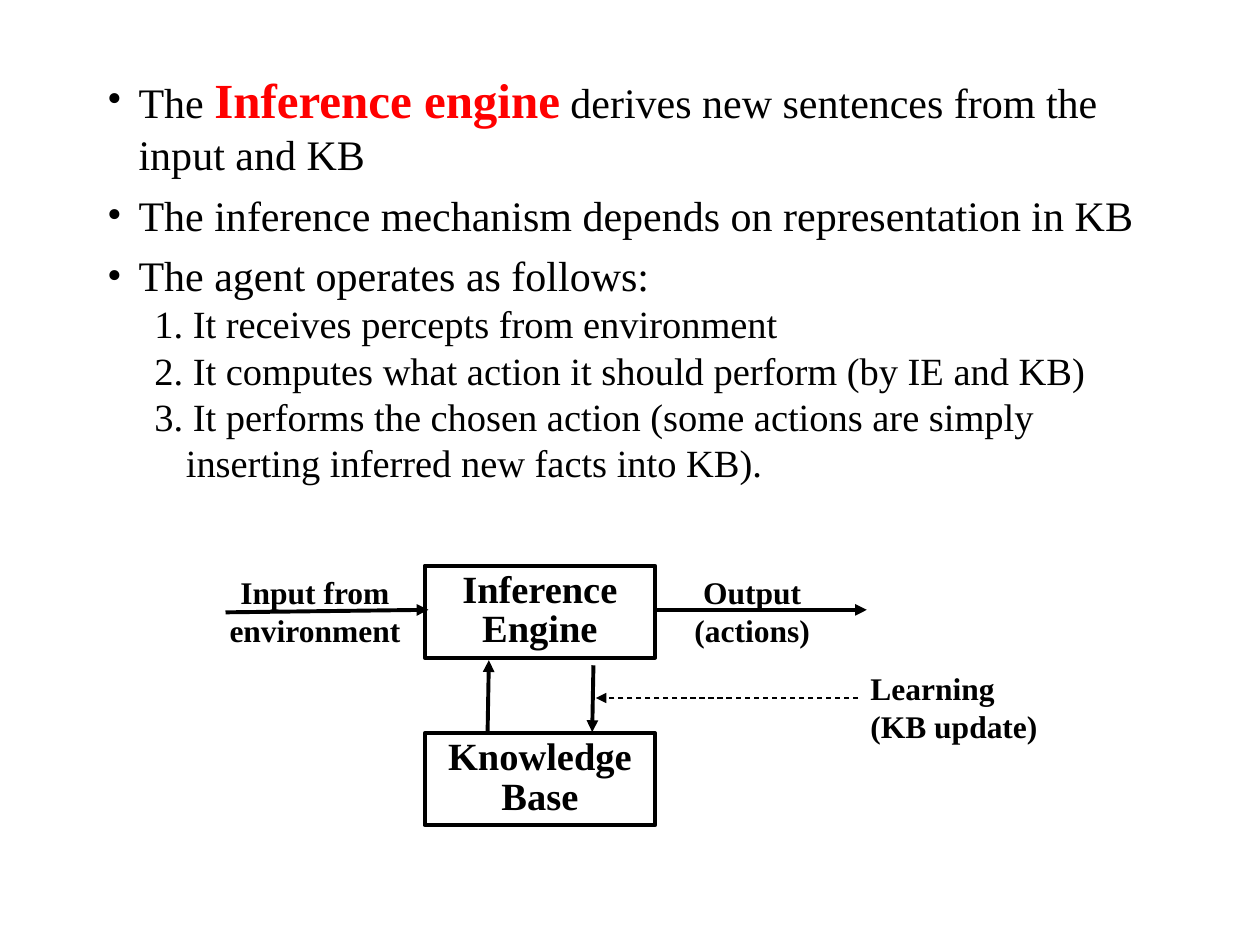
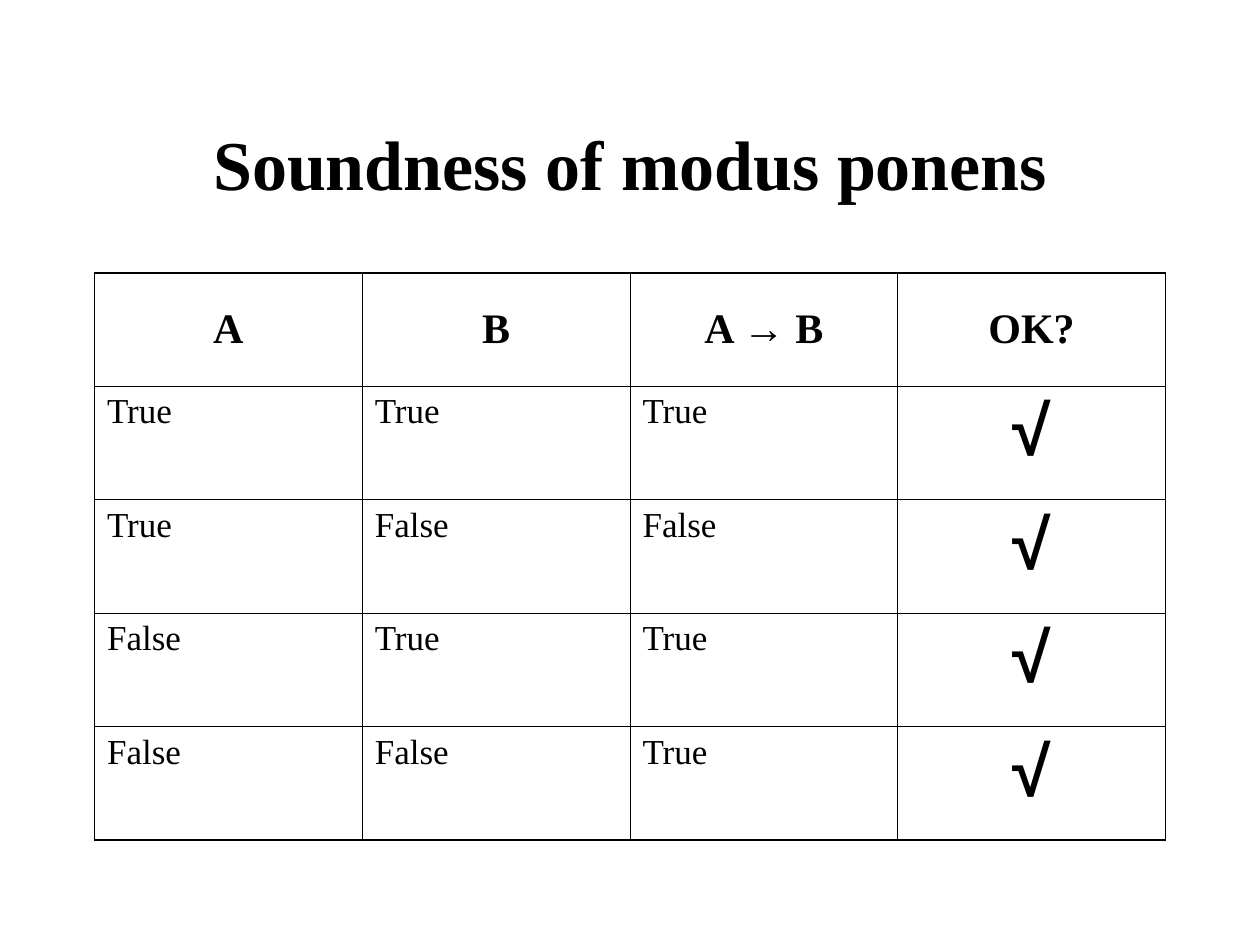
from dataclasses import dataclass

from lxml.etree import SubElement
from pptx import Presentation
from pptx.dml.color import RGBColor
from pptx.enum.dml import MSO_LINE_DASH_STYLE as Dash
from pptx.enum.shapes import MSO_CONNECTOR as Connector
from pptx.enum.shapes import MSO_SHAPE as ShapeKind
from pptx.enum.text import MSO_ANCHOR as Anchor
from pptx.enum.text import MSO_AUTO_SIZE as AutoSize
from pptx.enum.text import PP_ALIGN as Align
from pptx.oxml.ns import qn
from pptx.presentation import Presentation as Deck
from pptx.slide import Slide
from pptx.table import _Cell as Cell
from pptx.text.text import TextFrame
from pptx.text.text import _Paragraph as Paragraph
from pptx.util import Length, Pt


@dataclass(frozen=True)
class Theme:
    ink: RGBColor = RGBColor(0, 0, 0)
    accent: RGBColor = RGBColor(0xFF, 0, 0)
    font: str = "Times New Roman"
    symbol_font: str = "Arial"
    title: Length = Pt(40)
    keyword: Length = Pt(28)
    body: Length = Pt(24)
    step: Length = Pt(22)
    cell: Length = Pt(20)
    label: Length = Pt(18)
    heavy: Length = Pt(2.24)
    light: Length = Pt(0.74)
    frame: Length = Pt(1.08)
    grid: Length = Pt(0.45)


THEME = Theme()


@dataclass(frozen=True)
class TextStyle:
    size: Length
    bold: bool = False
    color: RGBColor = THEME.ink
    font: str = THEME.font


@dataclass(frozen=True)
class Area:
    left: float
    top: float
    width: float
    height: float

    def lengths(self) -> tuple[Length, ...]:
        return Pt(self.left), Pt(self.top), Pt(self.width), Pt(self.height)


@dataclass(frozen=True)
class Label:
    text: str
    area: Area
    align: Align = Align.CENTER


@dataclass(frozen=True)
class Arrow:
    start: tuple[float, float]
    end: tuple[float, float]
    width: Length = THEME.heavy
    dashed: bool = False


TITLE = TextStyle(THEME.title, bold=True)
BODY = TextStyle(THEME.body)
KEYWORD = TextStyle(THEME.keyword, bold=True, color=THEME.accent)
STEP = TextStyle(THEME.step)
BOX = TextStyle(THEME.step, bold=True)
LABEL = TextStyle(THEME.label, bold=True)
HEADER = TextStyle(THEME.body, bold=True)
VALUE = TextStyle(THEME.cell)
CHECK = TextStyle(THEME.title, bold=True, font=THEME.symbol_font)

BULLETS = [
    [
        ("The ", BODY),
        ("Inference engine", KEYWORD),
        (" derives new sentences from the input and KB", BODY),
    ],
    [("The inference mechanism depends on representation in KB", BODY)],
    [("The agent operates as follows:", BODY)],
]
STEPS = [
    "1. It receives percepts from environment",
    "2. It computes what action it should perform (by IE and KB)",
    "3. It performs the chosen action (some actions are simply "
    "inserting inferred new facts into KB).",
]
BOXES = [
    Label("Knowledge\nBase", Area(242.64, 419.04, 131.76, 52.56)),
    Label("Inference\nEngine", Area(242.64, 323.28, 131.76, 52.56)),
]
LABELS = [
    Label("Input from\nenvironment", Area(123.12, 324, 113.76, 50.4)),
    Label("Output\n(actions)", Area(386.64, 324, 86.4, 50.4)),
    Label("Learning\n(KB update)", Area(490.32, 378.72, 113.76, 50.4), Align.LEFT),
]
ARROWS = [
    Arrow((128.88, 349.92), (244.8, 348.48)),
    Arrow((374.4, 348.48), (495.36, 348.48)),
    Arrow((278.64, 418.32), (279.36, 377.28)),
    Arrow((339.12, 380.16), (338.4, 418.32)),
    Arrow((490.32, 398.88), (340.56, 398.88), THEME.light, dashed=True),
]
TRUTH_TABLE = [
    ("A", "B", "A → B", "OK?"),
    ("True", "True", "True", "√"),
    ("True", "False", "False", "√"),
    ("False", "True", "True", "√"),
    ("False", "False", "True", "√"),
]
BODY_AREA = Area(54, 36, 612, 444)
TITLE_AREA = Area(54, 48, 612, 90)
TABLE_AREA = Area(54, 156, 612, 324)


def style_runs(paragraph: Paragraph, *styles: TextStyle) -> None:
    for run, style in zip(paragraph.runs, styles):
        run.font.name = style.font
        run.font.size = style.size
        run.font.bold = style.bold
        run.font.color.rgb = style.color


def set_indent(paragraph: Paragraph, margin: float, bullet: str = "") -> None:
    properties = paragraph._p.get_or_add_pPr()
    properties.set("marL", str(Pt(margin)))
    properties.set("indent", str(Pt(-18)))
    if bullet:
        color = SubElement(properties, qn("a:buClr"))
        SubElement(color, qn("a:srgbClr"), val=str(THEME.ink))
        SubElement(properties, qn("a:buFont"), typeface=THEME.font)
        SubElement(properties, qn("a:buChar"), char=bullet)
    else:
        SubElement(properties, qn("a:buNone"))


def write_lines(
    frame: TextFrame, label: Label, style: TextStyle, spacing: float = 1.0
) -> None:
    frame.text = label.text
    frame.word_wrap = True
    frame.vertical_anchor = Anchor.TOP
    for paragraph in frame.paragraphs:
        paragraph.alignment = label.align
        paragraph.line_spacing = spacing
        style_runs(paragraph, style)


def draw_box(slide: Slide, label: Label) -> None:
    shape = slide.shapes.add_shape(ShapeKind.RECTANGLE, *label.area.lengths())
    shape.shadow.inherit = False
    shape.fill.background()
    shape.line.color.rgb = THEME.ink
    shape.line.width = THEME.heavy
    write_lines(shape.text_frame, label, BOX, 0.85)


def draw_label(slide: Slide, label: Label) -> None:
    shape = slide.shapes.add_textbox(*label.area.lengths())
    write_lines(shape.text_frame, label, LABEL)


def draw_arrow(slide: Slide, arrow: Arrow) -> None:
    points = [Pt(value) for value in arrow.start + arrow.end]
    connector = slide.shapes.add_connector(Connector.STRAIGHT, *points)
    connector.line.color.rgb = THEME.ink
    connector.line.width = arrow.width
    if arrow.dashed:
        connector.line.dash_style = Dash.DASH
    SubElement(connector.get_or_add_ln(), qn("a:tailEnd"), type="triangle")
    SubElement(connector.element.spPr, qn("a:effectLst"))


def set_borders(cell: Cell, widths: dict[str, Length]) -> None:
    properties = cell._tc.get_or_add_tcPr()
    for side, width in widths.items():
        line = SubElement(properties, qn(f"a:ln{side}"), w=str(width))
        fill = SubElement(line, qn("a:solidFill"))
        SubElement(fill, qn("a:srgbClr"), val=str(THEME.ink))


def fill_cell(cell: Cell, text: str, row: int, column: int) -> None:
    last_row, last_column = len(TRUTH_TABLE) - 1, len(TRUTH_TABLE[0]) - 1
    outer = {
        "L": column == 0,
        "R": column == last_column,
        "T": row == 0,
        "B": row == last_row,
    }
    set_borders(
        cell, {side: THEME.frame if edge else THEME.grid for side, edge in outer.items()}
    )
    cell.fill.background()
    cell.text = text
    paragraph = cell.text_frame.paragraphs[0]
    if row == 0:
        style, align, space = HEADER, Align.CENTER, 6
    elif column == last_column:
        style, align, space = CHECK, Align.CENTER, 10
    else:
        style, align, space = VALUE, Align.LEFT, 5
    cell.vertical_anchor = Anchor.MIDDLE if row == 0 else Anchor.TOP
    paragraph.alignment = align
    paragraph.space_before = Pt(space)
    style_runs(paragraph, style)


def draw_table(slide: Slide) -> None:
    rows, columns = len(TRUTH_TABLE), len(TRUTH_TABLE[0])
    table = slide.shapes.add_table(rows, columns, *TABLE_AREA.lengths()).table
    table.first_row = table.horz_banding = False
    for table_row in table.rows:
        table_row.height = Pt(TABLE_AREA.height / rows)
    for row, values in enumerate(TRUTH_TABLE):
        for column, text in enumerate(values):
            fill_cell(table.cell(row, column), text, row, column)


def place(shape, area: Area) -> TextFrame:
    shape.left, shape.top, shape.width, shape.height = area.lengths()
    shape.text_frame.auto_size = AutoSize.NONE
    shape.text_frame.word_wrap = True
    return shape.text_frame


def write_body(frame: TextFrame) -> None:
    frame.vertical_anchor = Anchor.TOP
    texts = ["".join(text for text, _ in parts) for parts in BULLETS]
    frame.text = "\n".join(texts + STEPS)
    paragraphs = frame.paragraphs
    for paragraph, parts in zip(paragraphs, BULLETS):
        paragraph.space_before = Pt(6)
        set_indent(paragraph, 18, "•")
        paragraph.clear()
        for text, _ in parts:
            paragraph.add_run().text = text
        style_runs(paragraph, *(style for _, style in parts))
    for paragraph in paragraphs[len(BULLETS):]:
        paragraph.level = 1
        paragraph.space_before = Pt(0)
        set_indent(paragraph, 45)
        style_runs(paragraph, STEP)


def add_engine_slide(presentation: Deck) -> None:
    slide = presentation.slides.add_slide(presentation.slide_layouts[1])
    title = slide.shapes.title.element
    title.getparent().remove(title)
    write_body(place(slide.placeholders[1], BODY_AREA))
    for box in BOXES:
        draw_box(slide, box)
    for arrow in ARROWS:
        draw_arrow(slide, arrow)
    for label in LABELS:
        draw_label(slide, label)


def add_soundness_slide(presentation: Deck) -> None:
    slide = presentation.slides.add_slide(presentation.slide_layouts[5])
    frame = place(slide.shapes.title, TITLE_AREA)
    frame.text = "Soundness of modus ponens"
    frame.vertical_anchor = Anchor.MIDDLE
    frame.paragraphs[0].alignment = Align.CENTER
    style_runs(frame.paragraphs[0], TITLE)
    draw_table(slide)


def main() -> None:
    presentation = Presentation()
    presentation.slide_width, presentation.slide_height = Pt(720), Pt(540)
    add_engine_slide(presentation)
    add_soundness_slide(presentation)
    presentation.save("out.pptx")


main()
